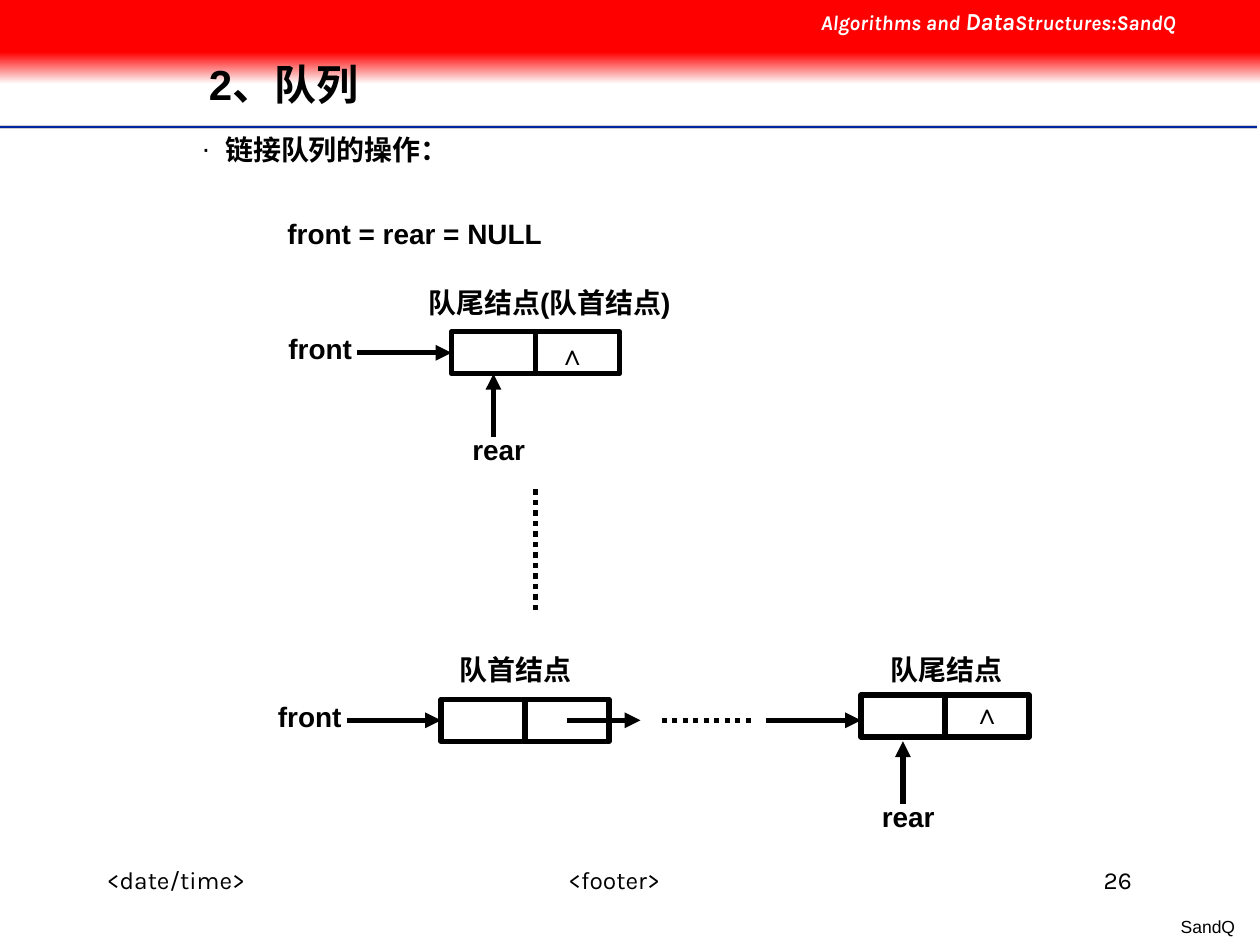
from lxml.etree import SubElement
from pptx import Presentation
from pptx.dml.color import RGBColor
from pptx.enum.dml import MSO_LINE
from pptx.enum.shapes import MSO_CONNECTOR, MSO_SHAPE
from pptx.enum.text import MSO_ANCHOR, PP_ALIGN
from pptx.oxml.ns import qn
from pptx.util import Inches, Pt

BLACK = RGBColor(0x00, 0x00, 0x00)
WHITE = RGBColor(0xFF, 0xFF, 0xFF)
RED = RGBColor(0xFF, 0x00, 0x00)
FADE = RGBColor(0xFE, 0xFE, 0xFE)
GREY = RGBColor(0xCE, 0xCE, 0xCE)
BLUE = RGBColor(0x00, 0x27, 0x9F)
NODE_COLS, NODE_ROWS = 16, 4
LABEL_ROWS = 4.44


def grid(count):
    """Convert grid units, twelve to the inch, to a length."""
    return Inches(count / 12)


def style(font, size, color=BLACK, name="Arial", bold=False, italic=False):
    """Set the look of a font."""
    font.size, font.name, font.bold, font.italic = Pt(size), name, bold, italic
    font.color.rgb = color


def add_text(slide, box, text, size=16, align=PP_ALIGN.LEFT, name="Arial", bold=True):
    """Write one paragraph in a box given in grid units and return its frame."""
    frame = slide.shapes.add_textbox(*map(grid, box)).text_frame
    frame.word_wrap = True
    frame.text = text
    paragraph = frame.paragraphs[0]
    paragraph.alignment = align
    style(paragraph.runs[0].font, size, name=name, bold=bold)
    return frame


def add_line(slide, start, end, color=BLACK, width=3, arrow=False, dotted=False):
    """Draw a straight line between two grid points."""
    line = slide.shapes.add_connector(MSO_CONNECTOR.STRAIGHT, *map(grid, start + end))
    line.line.color.rgb = color
    line.line.width = Pt(width)
    if dotted:
        line.line.dash_style = MSO_LINE.ROUND_DOT
    if arrow:
        SubElement(line.line._get_or_add_ln(), qn("a:tailEnd"), type="triangle")
    SubElement(line.element.spPr, qn("a:effectLst"))
    return line


def add_block(slide, box):
    """Add a plain rectangle in a box given in grid units."""
    block = slide.shapes.add_shape(MSO_SHAPE.RECTANGLE, *map(grid, box))
    block.shadow.inherit = False
    block.line.fill.background()
    return block


def add_header(slide, width, height):
    """Draw the red band, its fade, the course name and the rule below."""
    for row, color, weight in ((12.12, GREY, 2), (12.12, BLUE, 1), (12.36, WHITE, 1)):
        add_line(slide, (0, row), (width - 0.24, row), color, weight)
    fade = add_block(slide, (0, height * 0.62, width, height * 0.38)).fill
    fade.gradient()
    fade.gradient_angle = 270
    for stop, color in zip(fade.gradient_stops, (RED, FADE)):
        stop.color.rgb = color
    band = add_block(slide, (0, 0, width, height * 0.62)).fill
    band.solid()
    band.fore_color.rgb = RED
    course = add_text(slide, (77, 0, width - 77, 4), "Algorithms and ").paragraphs[0]
    course.add_run().text = "Data"
    course.add_run().text = "Structures:SandQ"
    for run, size in zip(course.runs, (12, 14, 12)):
        style(run.font, size, WHITE, "Karla", True, True)


def add_footer(slide, row):
    """Place the date, footer, page number and chapter mark."""
    for col, cols, text, align in (
        (9, 23, "<date/time>", PP_ALIGN.LEFT),
        (41, 35, "<footer>", PP_ALIGN.CENTER),
        (86, 23, "26", PP_ALIGN.RIGHT),
    ):
        add_text(slide, (col, row, cols, 6), text, 14, align, "Karla", False)
    chapter_box = (111.2, row + 4.9, 7.6, 3.2)
    chapter = add_text(slide, chapter_box, "SandQ", 10, PP_ALIGN.RIGHT, bold=False)
    chapter.word_wrap = False


def add_heading(slide, box):
    """Set the slide title above the header band and the topic below it."""
    title = slide.shapes.title
    title.left, title.top, title.width, title.height = map(grid, box)
    title.element.getparent().append(title.element)
    title.text_frame.text = "2、队列"
    title.text_frame.vertical_anchor = MSO_ANCHOR.MIDDLE
    paragraph = title.text_frame.paragraphs[0]
    paragraph.alignment = PP_ALIGN.LEFT
    paragraph.line_spacing = 0.9
    style(paragraph.runs[0].font, 24, bold=True)
    topic = add_text(slide, (0, 12, 115, LABEL_ROWS), "链接队列的操作：").paragraphs[0]
    properties = topic._p.get_or_add_pPr()
    properties.set("marL", str(Inches(1.69)))
    properties.set("indent", str(Inches(-0.19)))
    SubElement(properties, qn("a:buFont"), typeface="Arial")
    SubElement(properties, qn("a:buChar"), char="·")


def add_node(slide, col, row, label, label_box, mark_box=None, front=False, rear_gap=None):
    """Draw a two-cell node with its label, null mark and pointers."""
    node = add_block(slide, (col, row, NODE_COLS, NODE_ROWS))
    node.fill.solid()
    node.fill.fore_color.rgb = WHITE
    node.line.color.rgb = BLACK
    node.line.width = Pt(3)
    middle = col + NODE_COLS / 2
    divider = add_line(slide, (middle, row), (middle, row + NODE_ROWS))
    divider.begin_connect(node, 0)
    divider.end_connect(node, 2)
    shift, rise, cols = label_box
    caption = add_text(slide, (col + shift, row - rise, cols, LABEL_ROWS), label)
    caption.margin_left = Inches(0.15)
    caption.margin_right = 0
    if mark_box:
        shift, rise, cols = mark_box
        add_text(slide, (col + shift, row - rise, cols, LABEL_ROWS), "∧", align=PP_ALIGN.CENTER)
    if front:
        center = row + NODE_ROWS / 2
        pointer = add_line(slide, (col - 9, center), (col, center), arrow=True)
        pointer.end_connect(node, 1)
        add_text(slide, (col - 19, row - 0.6, 13, LABEL_ROWS), "front", align=PP_ALIGN.CENTER)
    if rear_gap is not None:
        tip = row + NODE_ROWS + rear_gap
        add_line(slide, (col + 4, tip + 6), (col + 4, tip), arrow=True)
        add_text(slide, (col - 2, tip + 5, 13, LABEL_ROWS), "rear", align=PP_ALIGN.CENTER)


def add_queue(slide, col, row):
    """Draw the queue when empty, with one node and with many nodes."""
    add_text(slide, (col + 2, row, 29, LABEL_ROWS), "front = rear = NULL", align=PP_ALIGN.CENTER)
    add_node(slide, col + 20, row + 11.6, "队尾结点(队首结点)", (-4, 5, 28),
             (8, 0, 7), front=True, rear_gap=0)
    add_line(slide, (col + 28, row + 26.6), (col + 28, row + 38.6), dotted=True)
    add_node(slide, col + 19, row + 46.6, "队首结点", (0, 5, 17), front=True)
    add_node(slide, col + 59, row + 46.2, "队尾结点", (1, 4.6, 18),
             (9, 0.5, 6), rear_gap=0.4)
    link = row + 48.6
    add_line(slide, (col + 31, link), (col + 38, link), arrow=True)
    add_line(slide, (col + 40, link), (col + 49, link), dotted=True)
    add_line(slide, (col + 50, link), (col + 59, link), arrow=True)


def main():
    """Build and save the slide."""
    presentation = Presentation()
    presentation.slide_width, presentation.slide_height = grid(120), grid(90)
    slide = presentation.slides.add_slide(presentation.slide_layouts[5])
    add_header(slide, 120, 8)
    add_footer(slide, 81.75)
    add_heading(slide, (18.7, 3.8, 90.6, 8.9))
    add_queue(slide, 23, 20)
    presentation.save("out.pptx")


if __name__ == "__main__":
    main()
